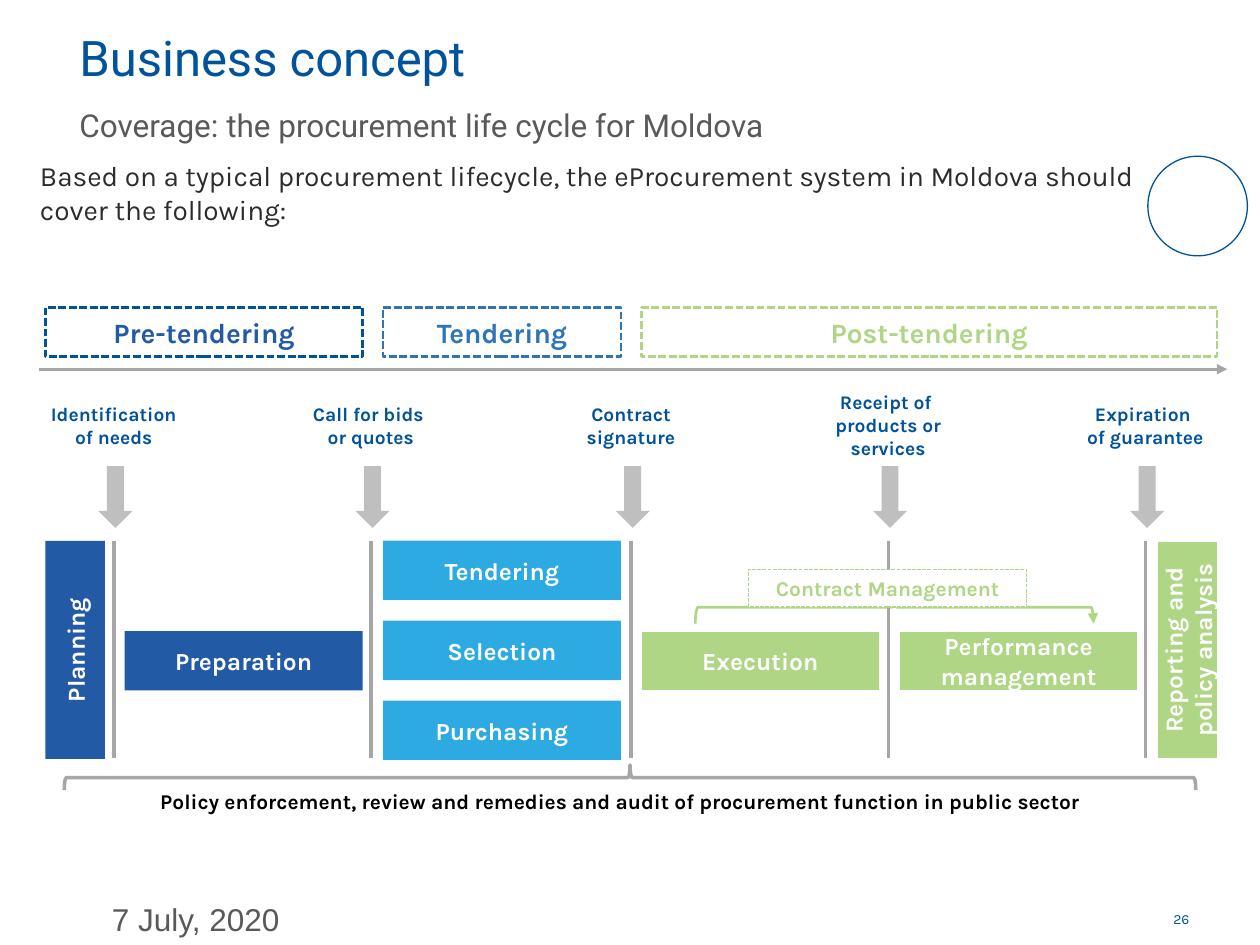
from dataclasses import dataclass

from lxml import etree
from pptx import Presentation
from pptx.dml.color import RGBColor
from pptx.enum import dml, shapes, text
from pptx.oxml import ns
from pptx.util import Pt


@dataclass(frozen=True)
class Theme:
    body_font: str = "Karla"
    title_font: str = "Roboto"
    date_font: str = "Arial"
    navy: str = "00539B"
    blue: str = "235AA6"
    mid_blue: str = "2E75B6"
    sky: str = "2DAAE2"
    green: str = "AED684"
    gray: str = "A6A6A6"
    arrow_gray: str = "BFBFBF"
    dark: str = "2C2C2D"
    muted: str = "58595B"
    black: str = "000000"
    white: str = "FFFFFF"
    title: int = 28
    subtitle: int = 18
    phase: int = 16
    stage: int = 14
    note: int = 12
    milestone: int = 11
    footer: int = 8


THEME = Theme()
LEFT, CENTER, RIGHT = text.PP_ALIGN.LEFT, text.PP_ALIGN.CENTER, text.PP_ALIGN.RIGHT
TOP, MIDDLE = text.MSO_ANCHOR.TOP, text.MSO_ANCHOR.MIDDLE
PRESET = shapes.MSO_SHAPE
NO_INSETS = (0, 0)
SMALL_INSETS = (2.9, 2.9)
DEFAULT_INSETS = (7.2, 3.6)
COLUMN_WIDTH, STAGE_HEIGHT = 136, 34


def points(values):
    return [Pt(value) for value in values]


def column(index):
    return 71.3 + 147.6 * index


def write(shape, lines, size, color, font=THEME.body_font, bold=False,
          align=LEFT, anchor=TOP, insets=DEFAULT_INSETS, after=0):
    frame = shape.text_frame
    frame.word_wrap = True
    frame.vertical_anchor = anchor
    frame.margin_left = frame.margin_right = Pt(insets[0])
    frame.margin_top = frame.margin_bottom = Pt(insets[1])
    for index, line in enumerate(lines):
        paragraph = frame.add_paragraph() if index else frame.paragraphs[0]
        paragraph.alignment = align
        paragraph.space_after = Pt(after)
        run = paragraph.add_run()
        run.text = line
        run.font.name = font
        run.font.size = Pt(size)
        run.font.bold = bold
        run.font.color.rgb = RGBColor.from_string(color)


def add_text(container, box, lines, size, color, **style):
    write(container.add_textbox(*points(box)), lines, size, color, **style)


def add_figure(container, preset, box, fill=None, line=None, width=0.75,
               dashed=False, rotation=0):
    shape = container.add_shape(preset, *points(box))
    shape.shadow.inherit = False
    shape.rotation = rotation
    if fill:
        shape.fill.solid()
        shape.fill.fore_color.rgb = RGBColor.from_string(fill)
    else:
        shape.fill.background()
    if line:
        shape.line.color.rgb = RGBColor.from_string(line)
        shape.line.width = Pt(width)
        if dashed:
            shape.line.dash_style = dml.MSO_LINE.SQUARE_DOT
    else:
        shape.line.fill.background()
    return shape


def add_arrowhead(shape, end):
    line = shape.line._get_or_add_ln()
    etree.SubElement(line, ns.qn(f"a:{end}"), type="triangle")


def add_line(container, ends, width):
    line = container.add_connector(shapes.MSO_CONNECTOR.STRAIGHT, *points(ends))
    line.line.color.rgb = RGBColor.from_string(THEME.gray)
    line.line.width = Pt(width)
    etree.SubElement(line._element.spPr, ns.qn("a:effectLst"))
    return line


def add_stage(container, label, box, fill, rotation=0):
    line = THEME.white if fill == THEME.green else None
    shape = add_figure(container, PRESET.RECTANGLE, box, fill, line, rotation=rotation)
    write(shape, [label], THEME.stage, THEME.white, bold=True,
          align=CENTER, anchor=MIDDLE, after=6)


def add_phase(container, label, left, width, line, color):
    shape = add_figure(container, PRESET.RECTANGLE, (left, 175.7, width, 28.1),
                       THEME.white, line, 1.5, dashed=True)
    write(shape, [label], THEME.phase, color, bold=True, align=CENTER,
          anchor=MIDDLE, insets=SMALL_INSETS, after=6)


def add_milestone(slide, lines, center, width):
    group = slide.shapes.add_group_shape().shapes
    add_text(group, (center - width / 2, 226.1, width, 33.8), lines,
             THEME.milestone, THEME.navy, bold=True, align=CENTER, anchor=MIDDLE)
    add_figure(group, PRESET.DOWN_ARROW, (center - 8.7, 266.4, 19.4, 35.3),
               THEME.arrow_gray)
    add_line(group, (center, 308.9, center, 433.4), 2)


def add_heading(container):
    add_text(container, (651.6, 510.5, 28.1, 29.5), ["26"], THEME.footer,
             THEME.navy, align=RIGHT, anchor=MIDDLE, insets=NO_INSETS)
    add_text(container, (15.8, 87.1, 645.1, 46.1),
             ["Based on a typical procurement lifecycle, the eProcurement system "
              "in Moldova should cover the following:"], THEME.phase, THEME.dark)
    add_figure(container, PRESET.OVAL, (655.9, 89.3, 56.9, 56.9), THEME.white, THEME.navy)
    add_text(container, (45.4, 56.9, 607, 28.8),
             ["Coverage: the procurement life cycle for Moldova"], THEME.subtitle,
             THEME.muted, font=THEME.title_font, insets=(0, 3.6))
    add_text(container, (45.4, 7.9, 550.1, 49), ["Business concept"], THEME.title,
             THEME.navy, font=THEME.title_font, anchor=MIDDLE, insets=NO_INSETS)
    add_text(container, (56.9, 510.5, 147.6, 29.5), ["7 July, 2020"],
             THEME.subtitle, THEME.muted, font=THEME.date_font)


def add_stages(container):
    for row, label in enumerate(["Tendering", "Selection", "Purchasing"]):
        add_stage(container, label,
                  (column(1), 308.9 + 45.7 * row, COLUMN_WIDTH, STAGE_HEIGHT), THEME.sky)
    for index, label, fill in [(0, "Preparation", THEME.blue),
                               (2, "Execution", THEME.green),
                               (3, "Performance management", THEME.green)]:
        add_stage(container, label,
                  (column(index), 360.6, COLUMN_WIDTH, STAGE_HEIGHT), fill)
    brace = add_figure(container, PRESET.LEFT_BRACE, (501.8, 233.3, 18.7, 227.5),
                       THEME.white, THEME.green, 1.5, rotation=270)
    brace._element.spPr.xfrm.set("flipH", "1")
    add_arrowhead(brace, "headEnd")
    timeline = add_line(container, (22.3, 211, 701.3, 211), 1.5)
    add_arrowhead(timeline, "tailEnd")
    for label, left, fill in [("Planning", -19.4, THEME.blue),
                              ("Reporting and policy analysis", 616.3, THEME.green)]:
        add_stage(container, label, (left, 354.4, 124.6, STAGE_HEIGHT), fill, 270)


def add_summary(container):
    add_text(container, (28.8, 449.3, 654.5, 17.3),
             ["Policy enforcement, review and remedies and audit of procurement "
              "function in public sector "], THEME.note, THEME.black, bold=True,
             align=CENTER, anchor=MIDDLE, insets=SMALL_INSETS, after=6)
    label = add_figure(container, PRESET.RECTANGLE, (427.7, 325.4, 159.1, 21.6),
                       THEME.white, THEME.green, dashed=True)
    write(label, ["Contract Management"], THEME.note, THEME.green, bold=True, align=CENTER)
    add_figure(container, PRESET.RIGHT_BRACE, (352.8, 121, 14.4, 646.6),
               line=THEME.gray, width=2, rotation=270)


def main():
    presentation = Presentation()
    presentation.slide_width, presentation.slide_height = Pt(720), Pt(540)
    slide = presentation.slides.add_slide(presentation.slide_layouts[6])
    add_heading(slide.shapes)
    add_stages(slide.shapes)
    for phase in [("Post-tendering", column(2), 329, THEME.green, THEME.green),
                  ("Tendering", column(1), COLUMN_WIDTH, THEME.mid_blue, THEME.mid_blue),
                  ("Pre-tendering", 25.9, 181.4, THEME.navy, THEME.blue)]:
        add_phase(slide.shapes, *phase)
    for milestone in [(["Identification ", "of needs"], 65, 87.1),
                      (["Call for bids ", "or quotes"], 211.9, 80.6),
                      (["Contract signature"], 360.6, 80.6),
                      (["Receipt of ", "products or services"], 507.6, 109.4),
                      (["Expiration ", "of guarantee"], 654.5, 82.8)]:
        add_milestone(slide, *milestone)
    add_summary(slide.shapes)
    presentation.save("out.pptx")


if __name__ == "__main__":
    main()
